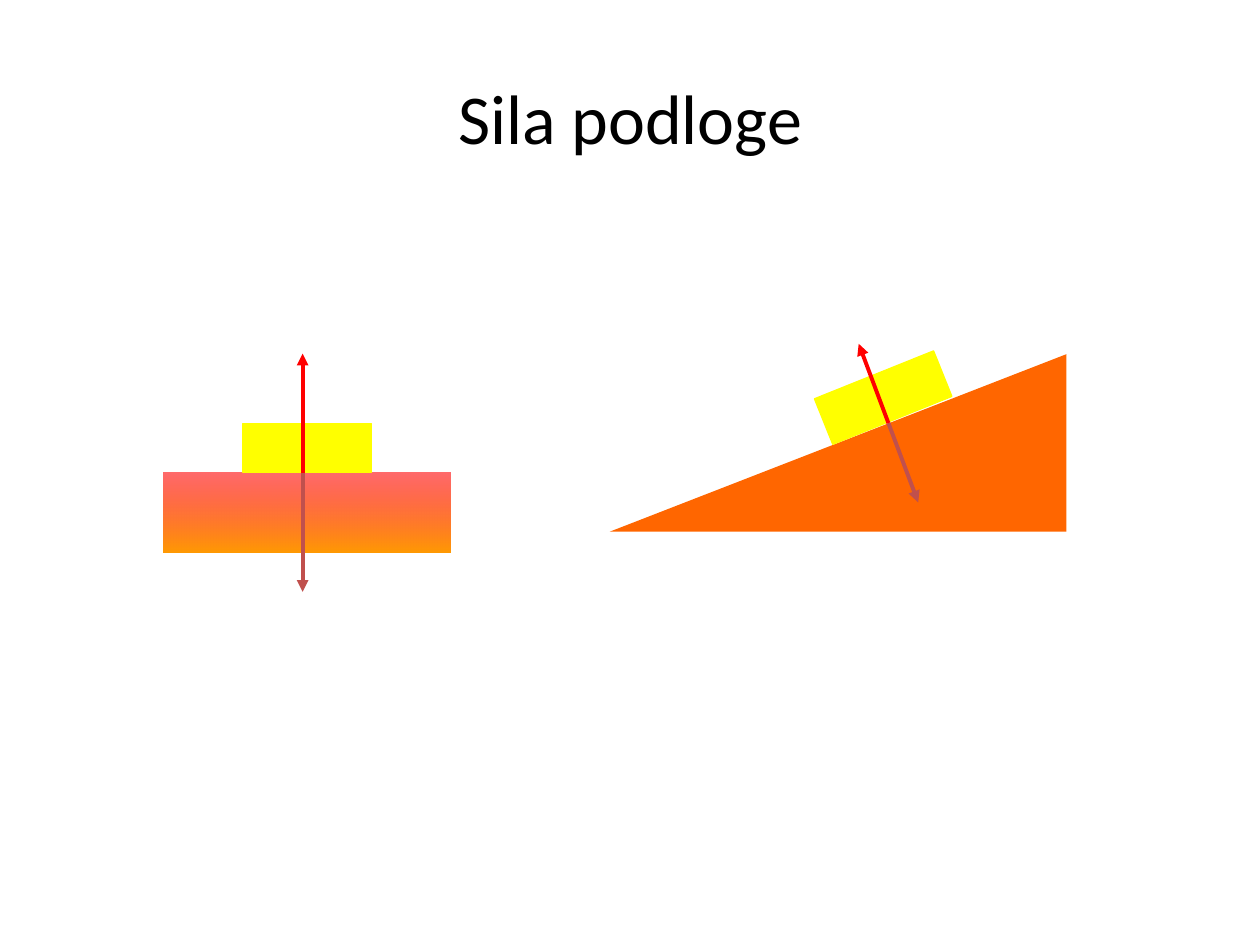
import pptx
import pptx.dml.color
import pptx.enum.shapes
import pptx.enum.text
import pptx.oxml
import pptx.oxml.ns
import pptx.util
from pptx.util import Cm

BLOCK_SIZE = (2.59, 0.99)
YELLOW, RED, BROWN, ORANGE = "FFFF00", "FF0000", "C0504D", "FF6600"


def color(code):
    return pptx.dml.color.RGBColor.from_string(code)


def add_element(parent, tag, **attributes):
    child = pptx.oxml.parse_xml(f"<a:{tag} {pptx.oxml.ns.nsdecls('a')}/>")
    for name, value in attributes.items():
        child.set(name, value)
    parent.append(child)


def add_rectangle(page, left, top, width, height):
    shape = page.shapes.add_shape(
        pptx.enum.shapes.MSO_SHAPE.RECTANGLE, Cm(left), Cm(top), Cm(width), Cm(height))
    shape.shadow.inherit = False
    shape.line.fill.background()
    return shape


def add_block(page, left, top, rotation=0):
    block = add_rectangle(page, left, top, *BLOCK_SIZE)
    block.fill.solid()
    block.fill.fore_color.rgb = color(YELLOW)
    block.line.color.rgb = color(YELLOW)
    block.line.width = pptx.util.Pt(0.75)
    block.rotation = rotation


def add_force(page, x, y, dx, dy, code):
    """Draw an arrow from the contact point (x, y) along (dx, dy)."""
    arrow = page.shapes.add_connector(
        pptx.enum.shapes.MSO_CONNECTOR.STRAIGHT, Cm(x), Cm(y), Cm(x + dx), Cm(y + dy))
    arrow.line.color.rgb = color(code)
    arrow.line.width = pptx.util.Pt(2.25)
    add_element(arrow.line._get_or_add_ln(), "tailEnd", type="triangle")
    add_element(arrow._element.spPr, "effectLst")


def add_force_pair(page, x, y, dx, dy):
    """Draw the push on the ground and the equal, opposite ground force."""
    add_force(page, x, y, dx, dy, BROWN)
    add_force(page, x, y, -dx, -dy, RED)


def add_title(page, left, top, width, height):
    title = page.shapes.title
    title.left, title.top, title.width, title.height = map(Cm, (left, top, width, height))
    frame = title.text_frame
    frame.vertical_anchor = pptx.enum.text.MSO_ANCHOR.MIDDLE
    para = frame.paragraphs[0]
    para.alignment = pptx.enum.text.PP_ALIGN.CENTER
    span = para.add_run()
    span.text = "Sila podloge"
    span.font.name = "Calibri"
    span.font.size = pptx.util.Pt(40)
    span.font.color.rgb = color("000000")


def add_level_ground(page, left, top, width):
    surface = top + 2.39
    ground = add_rectangle(page, left, surface, width, 1.6)
    ground.fill.gradient()
    ground.fill.gradient_angle = 270
    for stop, code in zip(ground.fill.gradient_stops, (RED, "FF9900")):
        stop.color.rgb = color(code)
        stop.position = 0 if code == RED else 1
    first_color = ground._element.spPr.find(".//" + pptx.oxml.ns.qn("a:srgbClr"))
    add_element(first_color, "alpha", val="58000")
    add_block(page, left + (width - BLOCK_SIZE[0]) / 2, surface - BLOCK_SIZE[1])
    add_force_pair(page, left + 2.8, surface, 0, 2.4)


def add_incline(page, left, top, width, height):
    right, bottom = left + width, top + height
    builder = page.shapes.build_freeform(Cm(left), Cm(bottom))
    builder.add_line_segments([(Cm(right), Cm(top)), (Cm(right), Cm(bottom))])
    slope = builder.convert_to_shape()
    slope.shadow.inherit = False
    slope.fill.solid()
    slope.fill.fore_color.rgb = color(ORANGE)
    slope.line.fill.background()
    add_block(page, left + 4.22, top + 0.38, rotation=338.1)
    add_force_pair(page, left + 5.62, top + 1.39, 0.6, 1.6)


def main():
    deck = pptx.Presentation()
    deck.slide_width, deck.slide_height = Cm(25.4), Cm(19.05)
    page = deck.slides.add_slide(deck.slide_layouts[5])
    add_title(page, 1.27, 0.76, 22.86, 3.18)
    add_level_ground(page, 3.3, 7.14, 5.79)
    add_incline(page, 12.29, 7.14, 9.21, 3.58)
    deck.save("out.pptx")


if __name__ == "__main__":
    main()
